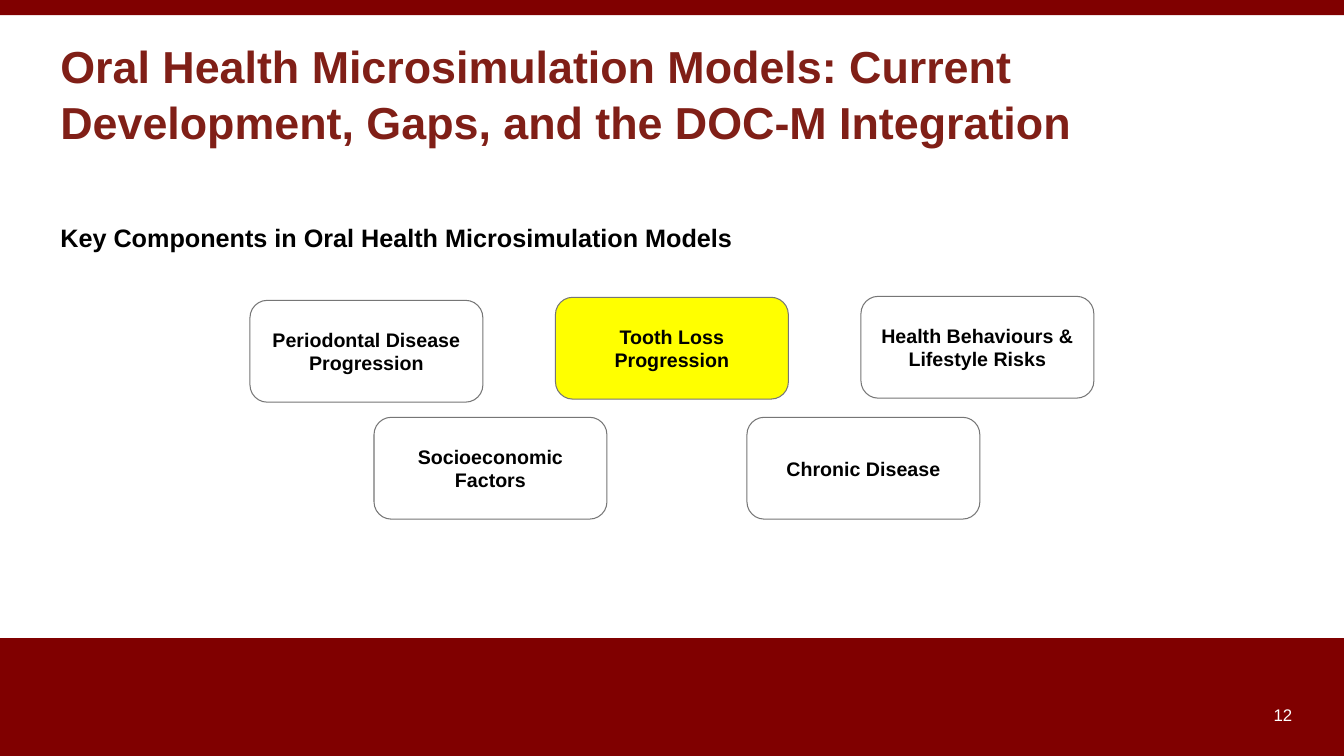
"""Build the slide on oral health microsimulation models."""
import dataclasses
import typing

import pptx
import pptx.dml.color
import pptx.enum.shapes
import pptx.enum.text
import pptx.util

COLORS = {
    "band": "800000",
    "title": "801F17",
    "text": "000000",
    "white": "FFFFFF",
    "mark": "FFFF00",
    "edge": "767676",
}
WIDE, HIGH = 13.33, 7.5
COL, ROW = WIDE / 100, HIGH / 100
SHAPE = pptx.enum.shapes.MSO_SHAPE
ALIGN = pptx.enum.text.PP_ALIGN
ANCHOR = pptx.enum.text.MSO_ANCHOR


@dataclasses.dataclass
class Area:
    """A place on a grid of 100 columns and 100 rows."""
    col: float
    row: float
    cols: float
    rows: float

    def box(self) -> list[int]:
        """Return left, top, width and height as lengths."""
        sides = (self.col * COL, self.row * ROW, self.cols * COL, self.rows * ROW)
        return [pptx.util.Inches(side) for side in sides]


@dataclasses.dataclass
class Card:
    """One model component."""
    label: str
    col: float
    row: float
    fill: typing.Optional[str] = "white"


LEFT, STEP = 18.6, 22.73
LOW, SPAN = 27.83, 27.75
CARDS = [
    Card("Periodontal Disease Progression", LEFT, 39.73, None),
    Card("Tooth Loss Progression", LEFT + STEP, 39.33, "mark"),
    Card("Health Behaviours & Lifestyle Risks", LEFT + 2 * STEP, 39.2),
    Card("Socioeconomic Factors", LOW, 55.2),
    Card("Chronic Disease", LOW + SPAN, 55.2),
]
BANDS = [Area(0, 84.4, 100, 15.6), Area(0, 0, 100, 2)]


def tint(name: str) -> pptx.dml.color.RGBColor:
    """Return a named colour."""
    return pptx.dml.color.RGBColor.from_string(COLORS[name])


def write(shape, text: str, *, size: float, color: str = "text", bold: bool = True,
          align=ALIGN.LEFT, anchor=ANCHOR.TOP, pad=(0.1, 0.1, 0.1, 0.1),
          lines: float = 1.0, after: float = 0) -> None:
    """Put formatted text in a shape."""
    frame = shape.text_frame
    frame.word_wrap = True
    frame.vertical_anchor = anchor
    (frame.margin_left, frame.margin_top,
     frame.margin_right, frame.margin_bottom) = map(pptx.util.Inches, pad)
    para = frame.paragraphs[0]
    para.text = text
    para.alignment = align
    para.line_spacing = lines
    para.space_after = pptx.util.Pt(after)
    font = para.runs[0].font
    font.name, font.size, font.bold = "Arial", pptx.util.Pt(size), bold
    font.color.rgb = tint(color)


def note(slide, area: Area, text: str, **style) -> None:
    """Add a text box."""
    write(slide.shapes.add_textbox(*area.box()), text, **style)


def block(slide, kind, area: Area, fill: typing.Optional[str],
          edge: typing.Optional[str] = None):
    """Add a flat shape and return it."""
    shape = slide.shapes.add_shape(kind, *area.box())
    shape.shadow.inherit = False
    if fill:
        shape.fill.solid()
        shape.fill.fore_color.rgb = tint(fill)
    else:
        shape.fill.background()
    if edge:
        shape.line.color.rgb = tint(edge)
        shape.line.width = pptx.util.Pt(0.75)
    else:
        shape.line.fill.background()
    return shape


def main() -> None:
    """Build and save the slide."""
    deck = pptx.Presentation()
    deck.slide_width = pptx.util.Inches(WIDE)
    deck.slide_height = pptx.util.Inches(HIGH)
    slide = deck.slides.add_slide(deck.slide_layouts[6])
    for band in BANDS:
        block(slide, SHAPE.RECTANGLE, band, "band")
    note(slide, Area(3.75, 27.87, 92.5, 7.73),
         "Key Components in Oral Health Microsimulation Models",
         size=18, pad=(0.1, 0.1, 0.1, 0.3), lines=1.15, after=12)
    note(slide, Area(3.75, 4.67, 92.5, 15.07),
         "Oral Health Microsimulation Models: Current Development, Gaps, "
         "and the DOC-M Integration",
         size=32, color="title", anchor=ANCHOR.MIDDLE, pad=(0.1, 0.3, 0.1, 0.3),
         lines=1.05)
    note(slide, Area(38.55, 88.13, 57.6, 7.73), "12", size=12, color="white",
         bold=False, align=ALIGN.RIGHT, anchor=ANCHOR.BOTTOM, pad=(0, 0, 0, 0))
    for card in CARDS:
        area = Area(card.col, card.row, 17.33, 13.47)
        shape = block(slide, SHAPE.ROUNDED_RECTANGLE, area, card.fill, "edge")
        shape.adjustments[0] = 0.17
        write(shape, card.label, size=14, align=ALIGN.CENTER, anchor=ANCHOR.MIDDLE)
    deck.save("out.pptx")


if __name__ == "__main__":
    main()
